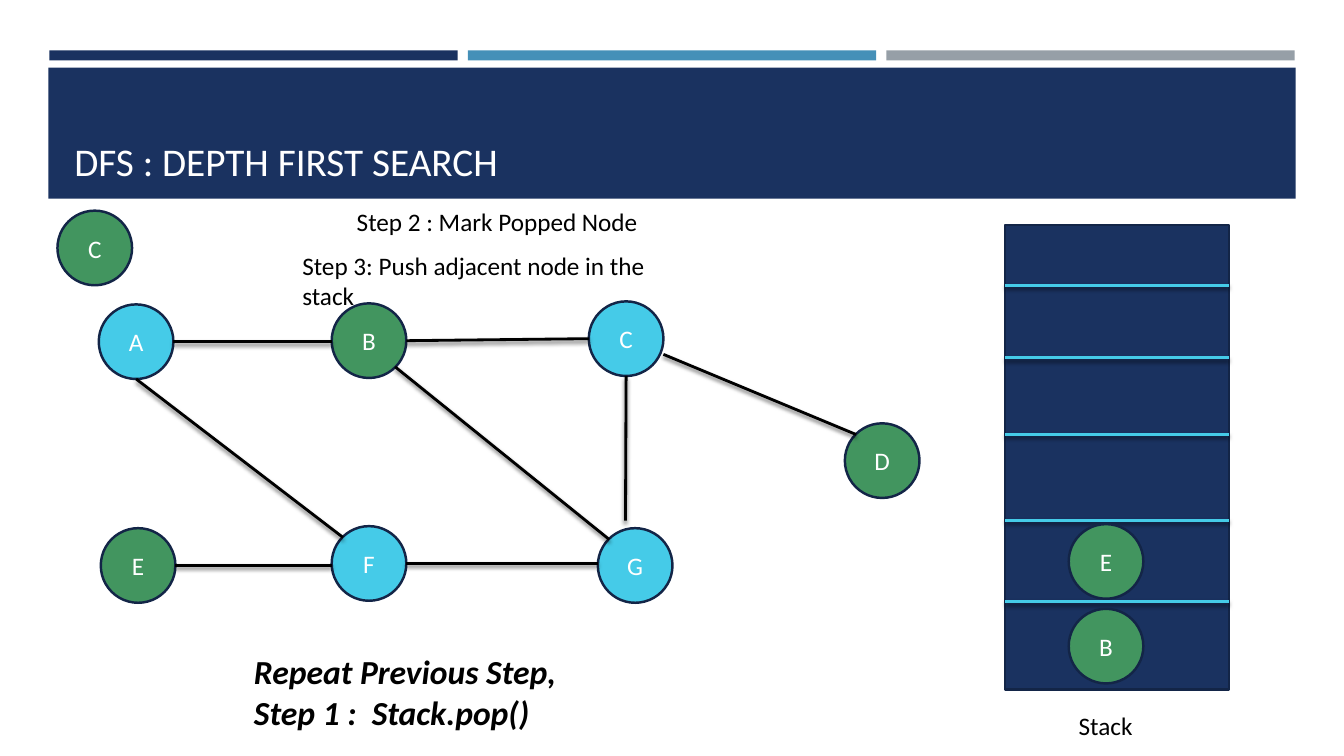
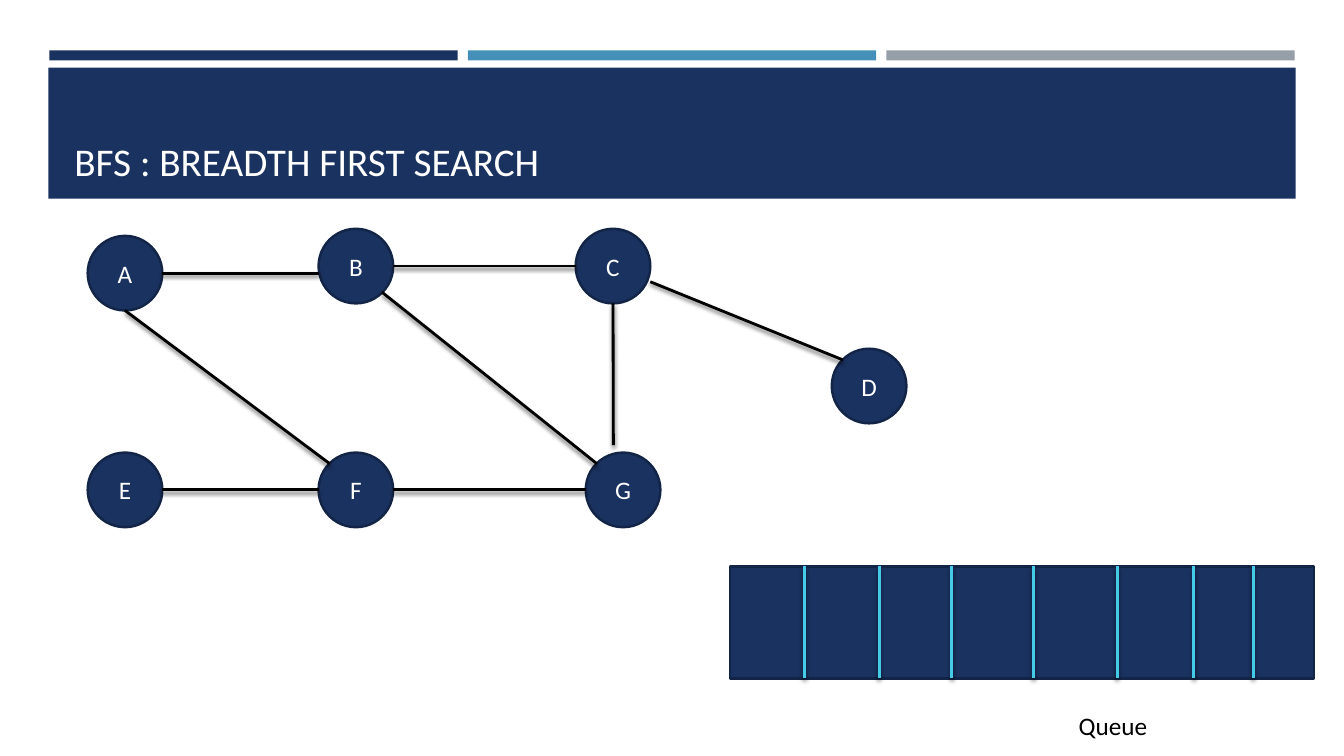
from lxml import etree
from pptx import Presentation
from pptx import util as u
from pptx.dml.color import RGBColor
from pptx.enum import shapes, text
from pptx.oxml.ns import qn

COLORS = {
    "navy": "1A3260",
    "outline": "132547",
    "blue": "4590B8",
    "gray": "969FA7",
    "cyan": "45CBE8",
    "green": "42955F",
    "black": "000000",
    "white": "FFFFFF",
}
FONT = "Calibri"
NODE_SIZE = 0.74

# Points on a node, as fractions of its size; a height of None keeps an edge level.
RIGHT, LEFT, BOTTOM = (1, 0.5), (0, 0.5), (0.5, 1)
TOP_LEFT, BOTTOM_RIGHT = (0.15, 0.15), (0.85, 0.85)
LOWER_RIGHT, ABOVE, LEVEL_LEFT = (1, 0.71), (0.37, -0.1), (0, None)
EDGES = [
    ("A", RIGHT, "B", LEVEL_LEFT),
    ("F", RIGHT, "G", LEVEL_LEFT),
    ("B", RIGHT, "C", LEFT),
    ("E", RIGHT, "F", LEVEL_LEFT),
    ("A", BOTTOM, "F", TOP_LEFT),
    ("C", BOTTOM, "G", ABOVE),
    ("C", LOWER_RIGHT, "D", TOP_LEFT),
    ("B", BOTTOM_RIGHT, "G", TOP_LEFT),
]


def rgb(name):
    return RGBColor.from_string(COLORS[name])


def write(shape, content, size=18, color="black", bold=False, italic=False,
          align=text.PP_ALIGN.LEFT, anchor=text.MSO_ANCHOR.TOP):
    """Fill a shape with text, one paragraph per line."""
    frame = shape.text_frame
    frame.word_wrap = True
    frame.vertical_anchor = anchor
    frame.text = content
    for paragraph in frame.paragraphs:
        paragraph.alignment = align
        font = paragraph.runs[0].font
        font.name, font.size = FONT, u.Pt(size)
        font.bold, font.italic = bold, italic
        font.color.rgb = rgb(color)


def add_text(slide, content, box, **text_format):
    write(slide.shapes.add_textbox(*map(u.Inches, box)), content, **text_format)


def add_block(slide, box, fill, outlined=False, kind=shapes.MSO_SHAPE.RECTANGLE):
    shape = slide.shapes.add_shape(kind, *map(u.Inches, box))
    shape.shadow.inherit = False
    shape.fill.solid()
    shape.fill.fore_color.rgb = rgb(fill)
    if outlined:
        shape.line.color.rgb = rgb("outline")
        shape.line.width = u.Pt(1.75)
    else:
        shape.line.fill.background()
    return shape


def add_line(slide, start, end, color="black"):
    """Draw a straight line with a soft shadow below it."""
    line = slide.shapes.add_connector(
        shapes.MSO_CONNECTOR.STRAIGHT, *map(u.Inches, (*start, *end)))
    line.line.color.rgb = rgb(color)
    line.line.width = u.Pt(2)
    effects = etree.SubElement(line._element.spPr, qn("a:effectLst"))
    shadow = etree.SubElement(
        effects, qn("a:outerShdw"), blurRad=str(u.Pt(3)), dist=str(u.Pt(2)),
        dir="5400000", rotWithShape="0")
    shade = etree.SubElement(shadow, qn("a:srgbClr"), val=COLORS["black"])
    etree.SubElement(shade, qn("a:alpha"), val="55000")


def add_node(slide, name, left, top, fill):
    node = add_block(slide, (left, top, NODE_SIZE, NODE_SIZE), fill,
                     outlined=True, kind=shapes.MSO_SHAPE.OVAL)
    write(node, name, color="white", align=text.PP_ALIGN.CENTER,
          anchor=text.MSO_ANCHOR.MIDDLE)


def add_graph(slide, nodes, visited=(), fill="navy", visited_fill="cyan"):
    for name, (left, top) in nodes.items():
        add_node(slide, name, left, top, visited_fill if name in visited else fill)

    def point(name, fractions):
        return [origin + NODE_SIZE * fraction
                for origin, fraction in zip(nodes[name], fractions)]

    for first, first_point, second, (across, down) in EDGES:
        start = point(first, first_point)
        end = point(second, (across, down or 0))
        if down is None:
            end[1] = start[1]
        add_line(slide, start, end)


def add_storage(slide, label, box, dividers, vertical):
    """Draw a stack (vertical) or a queue, split at the given positions."""
    left, top, width, height = box
    add_block(slide, box, "navy", outlined=True)
    for position in dividers:
        if vertical:
            start, end = (left, position), (left + width, position)
        else:
            start, end = (position, top), (position, top + height)
        add_line(slide, start, end, "cyan")
    add_text(slide, label, (10.6, 7, 1.39, 0.4))


def add_titled_slide(presentation, title):
    slide = presentation.slides.add_slide(presentation.slide_layouts[6])
    for index, color in enumerate(("navy", "blue", "gray")):
        add_block(slide, (0.49 + index * 4.15, 0.5, 4.05, 0.1), color)
    add_block(slide, (0.48, 0.67, 12.37, 1.3), "navy")
    add_text(slide, title, (0.64, 0.77, 12.06, 1.11), size=28, color="white",
             anchor=text.MSO_ANCHOR.BOTTOM)
    return slide


def add_depth_first(presentation):
    slide = add_titled_slide(presentation, "DFS : DEPTH FIRST SEARCH")
    add_storage(slide, "Stack", (9.97, 2.23, 2.22, 4.61),
                (2.83, 3.55, 4.31, 5.16, 5.97), vertical=True)
    nodes = {
        "A": (0.98, 3.02), "B": (3.29, 3.01), "C": (5.84, 2.99), "D": (8.38, 4.2),
        "E": (1, 5.24), "F": (3.29, 5.22), "G": (5.93, 5.24),
    }
    add_graph(slide, nodes, visited="ACFG", fill="green")
    for name, left, top in (("B", 10.6, 6.04), ("E", 10.6, 5.2), ("C", 0.57, 2.09)):
        add_node(slide, name, left, top, "green")
    add_text(slide, "Repeat Previous Step,\nStep 1 :  Stack.pop()",
             (2.42, 6.41, 3.49, 0.91), size=24, bold=True, italic=True)
    add_text(slide, "Step 2 : Mark Popped Node", (3.44, 2, 3.1, 0.4))
    add_text(slide, "Step 3: Push adjacent node in the stack", (2.9, 2.43, 4, 0.4))


def add_breadth_first(presentation):
    slide = add_titled_slide(presentation, "BFS : BREADTH FIRST SEARCH")
    add_storage(slide, "Queue", (7.24, 5.62, 5.79, 1.11),
                (7.98, 8.72, 9.44, 10.25, 11.08, 11.84, 12.43), vertical=False)
    nodes = {
        "A": (0.87, 2.34), "B": (3.16, 2.27), "C": (5.71, 2.27), "D": (8.25, 3.46),
        "E": (0.87, 4.49), "F": (3.16, 4.49), "G": (5.81, 4.49),
    }
    add_graph(slide, nodes)


def main():
    presentation = Presentation()
    presentation.slide_width = u.Inches(13.33)
    presentation.slide_height = u.Inches(7.5)
    add_depth_first(presentation)
    add_breadth_first(presentation)
    presentation.save("out.pptx")


if __name__ == "__main__":
    main()
